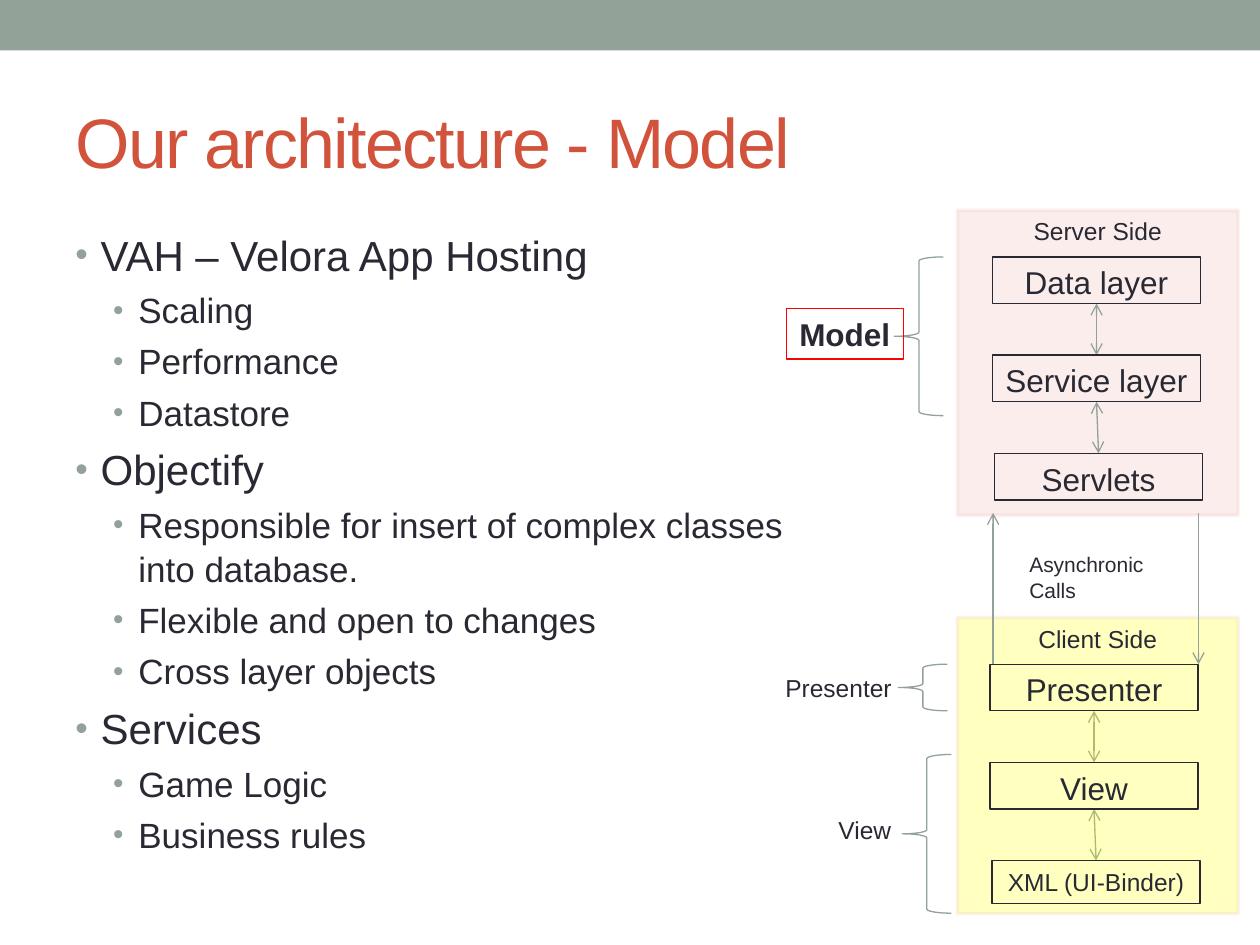
import pptx
import pptx.dml.color
import pptx.enum.shapes
import pptx.enum.text
import pptx.oxml
import pptx.oxml.ns
import pptx.util
import lxml.etree

Cm, Pt = pptx.util.Cm, pptx.util.Pt
RGBColor = pptx.dml.color.RGBColor
KIND = pptx.enum.shapes.MSO_SHAPE
ALIGN = pptx.enum.text.PP_ALIGN
ANCHOR = pptx.enum.text.MSO_ANCHOR

SAGE = RGBColor(0x93, 0xA2, 0x99)
RUST = RGBColor(0xD2, 0x53, 0x3C)
INK = RGBColor(0x29, 0x29, 0x34)
ROSE = RGBColor(0xED, 0xBA, 0xB1)
YELLOW = RGBColor(0xFF, 0xFF, 0x00)
RED = RGBColor(0xFF, 0x00, 0x00)
WHITE = RGBColor(0xFF, 0xFF, 0xFF)

POINTS = [
    (0, "VAH – Velora App Hosting"),
    (1, "Scaling"),
    (1, "Performance"),
    (1, "Datastore"),
    (0, "Objectify"),
    (1, "Responsible for insert of complex classes into database."),
    (1, "Flexible and open to changes"),
    (1, "Cross layer objects"),
    (0, "Services"),
    (1, "Game Logic"),
    (1, "Business rules"),
]
SERVER = (19.3, 4.24, 5.66, 6.15)
CLIENT = (19.3, 12.45, 5.66, 5.97)


def add(parent, tag, **attrs):
    """Append a drawing element with its attributes."""
    return lxml.etree.SubElement(parent, pptx.oxml.ns.qn(tag), attrs)


def fade(color, share):
    """Make a solid colour partly opaque, in percent."""
    for node in color.iter(pptx.oxml.ns.qn("a:srgbClr")):
        add(node, "a:alpha", val=str(share * 1000))


def style(par, size, color=INK, bold=False):
    """Format every run of a paragraph."""
    for run in par.runs:
        run.font.name = "Arial"
        run.font.size = Pt(size)
        run.font.bold = bold
        run.font.color.rgb = color


def shape(slide, kind, box, fill=None, line=None, width=0.75):
    """Place a preset shape with plain fill and line."""
    item = slide.shapes.add_shape(kind, *map(Cm, box))
    item.shadow.inherit = False
    if fill is None:
        item.fill.background()
    else:
        item.fill.solid()
        item.fill.fore_color.rgb = fill
    if line is None:
        item.line.fill.background()
    else:
        item.line.color.rgb = line
        item.line.width = Pt(width)
    return item


def write(item, text, size, wrap=False, align=ALIGN.CENTER, bold=False):
    """Put one paragraph at the top of a shape."""
    frame = item.text_frame
    frame.text = text
    frame.word_wrap = wrap
    frame.vertical_anchor = ANCHOR.TOP
    frame.paragraphs[0].alignment = align
    style(frame.paragraphs[0], size, bold=bold)


def arrow(slide, start, end, both=False):
    """Draw a thin arrow, with one head or two."""
    link = slide.shapes.add_connector(
        pptx.enum.shapes.MSO_CONNECTOR.STRAIGHT, *map(Cm, start + end))
    link.line.color.rgb = SAGE
    link.line.width = Pt(0.75)
    line = link.line._get_or_add_ln()
    if both:
        add(line, "a:headEnd", type="arrow")
    add(line, "a:tailEnd", type="arrow")
    add(link._element.spPr, "a:effectLst")


def cells(box, inset):
    """Return the three layer boxes stacked inside a panel."""
    left, top = box[:2]
    return [(left + inset + shift, top + 0.94 + 1.98 * row, 4.19, 0.94)
            for row, shift in enumerate((0, 0, 0.04))]


def links(slide, boxes):
    """Join each layer to the next one."""
    for upper, lower in zip(boxes, boxes[1:]):
        arrow(slide, (upper[0] + upper[2] / 2, upper[1] + upper[3]),
              (lower[0] + lower[2] / 2, lower[1]), both=True)


def panel(slide, box, name, fill):
    """Draw one tinted side of the diagram."""
    item = shape(slide, KIND.RECTANGLE, box, fill, ROSE, 2.08)
    fade(item._element.spPr.find(pptx.oxml.ns.qn("a:solidFill")), 25)
    fade(item.line._get_or_add_ln(), 20)
    write(item, name, 14)


def layers(slide, boxes, names):
    """Draw the named layers; a long name is set smaller."""
    for box, name in zip(boxes, names):
        size = 14 if len(name) > 13 else 18
        write(shape(slide, KIND.RECTANGLE, box, line=INK), name, size)


def calls(slide, box):
    """Draw the two call arrows and their label."""
    left, top, width, height = box
    tag = shape(slide, KIND.RECTANGLE, (left + 0.48, top + 0.66, 3.28, 0.89), WHITE)
    write(tag, "Asynchronic Calls", 12, wrap=True, align=ALIGN.LEFT)
    arrow(slide, (left, top + height), (left, top))
    arrow(slide, (left + width, top), (left + width, top + height))


def group(slide, box, name, label, size=14, line=None):
    """Draw a brace and, left of it, its label."""
    shape(slide, KIND.LEFT_BRACE, box, line=SAGE)
    tag = shape(slide, KIND.RECTANGLE, label, line=line)
    write(tag, name, size, bold=line is not None)


def heading(slide, box, text):
    """Fill and place the title."""
    title = slide.shapes.title
    title.left, title.top, title.width, title.height = map(Cm, box)
    frame = title.text_frame
    frame.text = text
    frame.auto_size = pptx.enum.text.MSO_AUTO_SIZE.NONE
    frame.vertical_anchor = ANCHOR.MIDDLE
    frame.paragraphs[0].alignment = ALIGN.LEFT
    style(frame.paragraphs[0], 40, RUST)
    frame.paragraphs[0].runs[0].font._element.set("spc", "-100")


def points(slide, box):
    """Write the list with two levels of bullets."""
    frame = slide.shapes.add_textbox(*map(Cm, box)).text_frame
    frame.word_wrap = True
    for row, (level, text) in enumerate(POINTS):
        par = frame.add_paragraph() if row else frame.paragraphs[0]
        par.text = text
        par.level = level
        size = 20 if level else 24
        style(par, size)
        par.line_spacing = 1.05
        par.space_before = Pt(0.2 * size)
        props = par._p.get_or_add_pPr()
        props.set("marL", str(Cm(1.27 if level else 0.51)))
        props.set("indent", str(-Cm(0.51)))
        add(add(props, "a:buClr"), "a:srgbClr", val=str(SAGE))
        add(props, "a:buSzPct", val="85000")
        add(props, "a:buFont", typeface="Arial")
        add(props, "a:buChar", char="•")


def diagram(slide):
    """Draw both sides, the calls between them and the braces."""
    server, client = cells(SERVER, 0.71), cells(CLIENT, 0.66)
    client[2] = client[2][:3] + (0.86,)
    panel(slide, SERVER, "Server Side", ROSE)
    links(slide, server)
    links(slide, client)
    panel(slide, CLIENT, "Client Side", YELLOW)
    calls(slide, (20.02, 10.34, 4.14, 3.05))
    layers(slide, server, ("Data layer", "Service layer", "Servlets"))
    layers(slide, client, ("Presenter", "View", "XML (UI-Binder)"))
    group(slide, (18.03, 5.18, 0.99, 3.2), "Model", (15.85, 6.22, 2.36, 1.02), 18, RED)
    group(slide, (18.11, 13.39, 0.99, 0.94), "Presenter", (15.57, 13.44, 2.67, 0.86))
    group(slide, (18.19, 15.21, 0.99, 3.2), "View", (16.61, 16.31, 1.65, 0.86))


def build():
    """Make the deck and save it."""
    deck = pptx.Presentation()
    deck.slide_width, deck.slide_height = Cm(25.4), Cm(19.05)
    slide = deck.slides.add_slide(deck.slide_layouts[5])
    shape(slide, KIND.RECTANGLE, (0, 0, 25.4, 1.02), SAGE)
    heading(slide, (1.27, 1.47, 22.86, 2.74), "Our architecture - Model")
    points(slide, (1.27, 4.45, 15.06, 13.54))
    diagram(slide)
    deck.save("out.pptx")


build()
